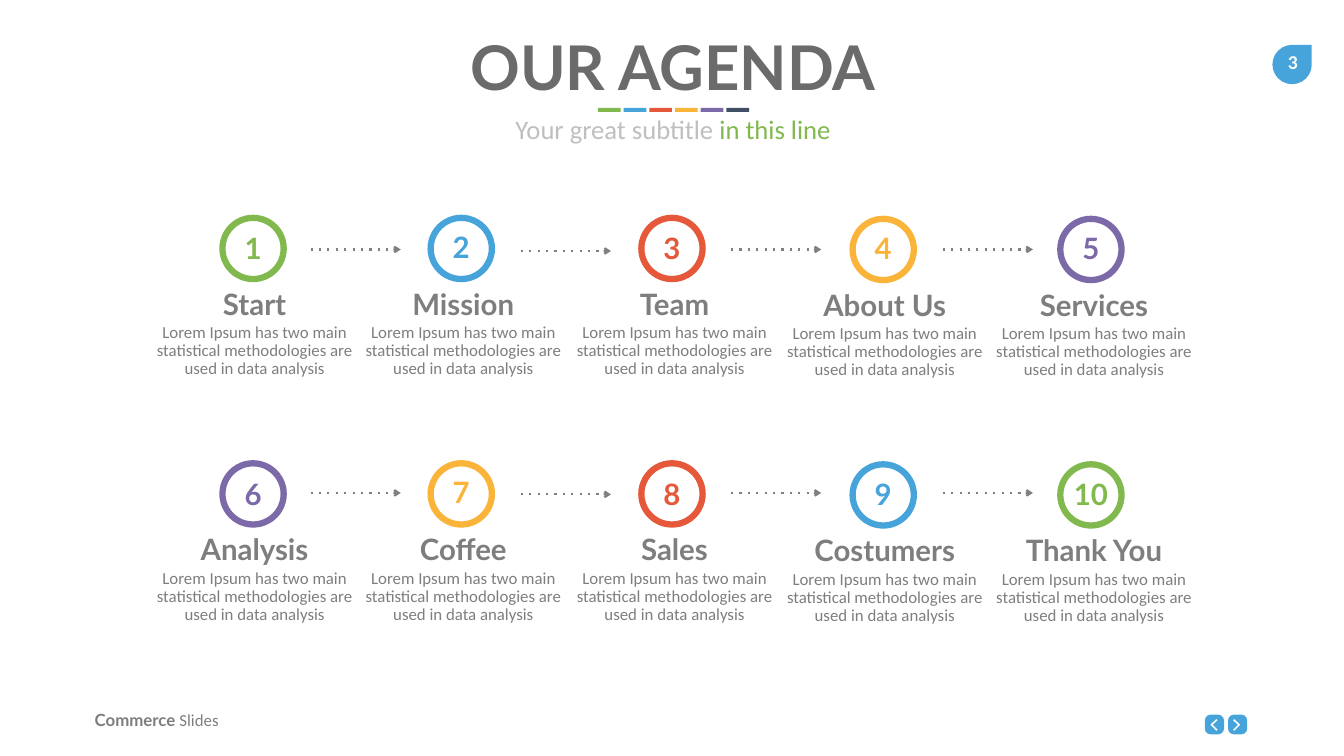
from lxml import etree
from pptx import Presentation
from pptx import util as u
from pptx.dml.color import RGBColor
from pptx.enum import shapes, text
from pptx.oxml.ns import qn

HUES = {
    "green": "81B94F", "blue": "46A4DB", "red": "E5583A",
    "gold": "F9B439", "violet": "7C69A8", "navy": "404F64",
    "title": "6B6B6B", "grey": "7E7E7E", "pale": "BFBFBF",
    "line": "808080", "white": "FFFFFF",
}
BODY = "Lorem Ipsum has two main statistical methodologies are used in data analysis"
LEFT, MID = text.PP_ALIGN.LEFT, text.PP_ALIGN.CENTER
ROOMY, TIGHT = (0.2, 0.1), (0.1, 0.05)

# Column: text centre, ring centre, drop of the column, shift of the number
COLS = [
    (5.05, 5.02, 0, 0), (9.19, 9.15, 0, -0.03), (13.38, 13.33, 0, 0),
    (17.55, 17.52, 0.02, 0), (21.7, 21.64, 0.02, 0),
]
# Row: label, width of its box, hue
ROWS = [
    [("Start", 2.9, "green"), ("Mission", 3.76, "blue"), ("Team", 2.9, "red"),
     ("About Us", 3.54, "gold"), ("Services", 4.58, "violet")],
    [("Analysis", 2.9, "violet"), ("Coffee", 2.9, "gold"), ("Sales", 2.9, "red"),
     ("Costumers", 3.23, "blue"), ("Thank You", 3.9, "green")],
]
TOP, STEP = 4.26, 4.87
RING, BAND = 1.34, 0.125
# Arrow: left end, height above the slide's first row line
ARROWS = [(6.16, 4.95), (10.33, 4.98), (14.5, 4.95), (18.7, 4.95)]
REACH, FALL = 1.79, 4.83


def rgb(hue):
    return RGBColor.from_string(HUES[hue])


def add_text(slide, box, runs, size, align=MID, pad=ROOMY, wrap=True,
             grow=True, space=None):
    """Runs are (words, font, hue, bold)."""
    frame = slide.shapes.add_textbox(*map(u.Inches, box)).text_frame
    frame.word_wrap = wrap
    frame.auto_size = (text.MSO_AUTO_SIZE.SHAPE_TO_FIT_TEXT if grow
                       else text.MSO_AUTO_SIZE.NONE)
    frame.margin_left = frame.margin_right = u.Inches(pad[0])
    frame.margin_top = frame.margin_bottom = u.Inches(pad[1])
    para = frame.paragraphs[0]
    para.alignment = align
    if space:
        para.line_spacing = space
    for words, font, hue, bold in runs:
        run = para.add_run()
        run.text = words
        run.font.name = font
        run.font.size = u.Pt(size)
        run.font.bold = bold
        run.font.color.rgb = rgb(hue)


def add_solid(slide, kind, box, hue, adjust=None):
    shape = slide.shapes.add_shape(kind, *map(u.Inches, box))
    shape.shadow.inherit = False
    shape.fill.solid()
    shape.fill.fore_color.rgb = rgb(hue)
    shape.line.fill.background()
    if adjust is not None:
        shape.adjustments[0] = adjust


def add_arrow(slide, left, y):
    line = slide.shapes.add_connector(
        shapes.MSO_CONNECTOR.STRAIGHT, u.Inches(left), u.Inches(y),
        u.Inches(left + REACH), u.Inches(y))
    line.line.width = u.Pt(3)
    line.line.color.rgb = rgb("line")
    edge = line.line._get_or_add_ln()
    etree.SubElement(edge, qn("a:prstDash"), val="dot")
    etree.SubElement(edge, qn("a:tailEnd"), type="arrow")
    etree.SubElement(line._element.spPr, qn("a:effectLst"))


def add_button(slide, left, back, tip):
    """Rounded button with a chevron that runs from back to tip."""
    add_solid(slide, shapes.MSO_SHAPE.ROUNDED_RECTANGLE,
              (left, 14.18, 0.38, 0.39), "blue", 0.3)
    pen = slide.shapes.build_freeform(u.Inches(back), u.Inches(14.28))
    pen.add_line_segments([(u.Inches(tip), u.Inches(14.38)),
                           (u.Inches(back), u.Inches(14.49))], close=False)
    mark = pen.convert_to_shape()
    mark.shadow.inherit = False
    mark.fill.background()
    mark.line.color.rgb = rgb("white")
    mark.line.width = u.Pt(2.25)


def add_step(slide, number, row, col, item):
    label, wide, hue = item
    mid, hub, drop, shift = COLS[col]
    top = TOP + row * STEP
    add_solid(slide, shapes.MSO_SHAPE.DONUT,
              (hub - RING / 2, top + drop, RING, RING), hue, BAND / RING)
    add_text(slide, (mid - 2.29, top + 2.07 + drop, 4.58, 1.36),
             [(BODY, "Calibri", "grey", False)], 24, grow=False, space=0.9)
    add_text(slide, (mid - wide / 2, top + 1.31 + drop, wide, 0.91),
             [(label, "Lato", "grey", True)], 42)
    add_text(slide, (hub - 0.57, top + 0.21 + shift, 1.14, 0.91),
             [(str(number), "Lato", hue, True)], 42)


def add_head(slide):
    add_text(slide, (1.9, 0.53, 22.9, 1.58),
             [("OUR AGENDA", "Lato", "title", True)], 88, pad=TIGHT)
    for i, hue in enumerate(["green", "blue", "red", "gold", "violet", "navy"]):
        add_solid(slide, shapes.MSO_SHAPE.RECTANGLE,
                  (11.86 + i * 0.51, 2.14, 0.45, 0.08), hue)
    add_text(slide, (1.9, 2.2, 22.9, 0.74),
             [("Your great subtitle ", "Calibri", "pale", False),
              ("in this line", "Calibri", "green", False)], 38, pad=TIGHT)


def add_frame(slide):
    # Page buttons
    add_button(slide, 23.9, 24.14, 24.03)
    add_button(slide, 24.36, 24.47, 24.58)
    # Page number
    add_solid(slide, shapes.MSO_SHAPE.TEAR, (25.24, 0.89, 0.78, 0.78), "blue")
    add_text(slide, (25.21, 0.9, 0.87, 0.67),
             [("3", "Calibri", "white", True)], 28, wrap=False)
    # Footer
    add_text(slide, (1.78, 14.04, 4, 0.5),
             [("Commerce ", "Lato", "grey", True),
              ("Slides", "Calibri", "grey", False)], 24, LEFT, TIGHT)


def main():
    deck = Presentation()
    deck.slide_width, deck.slide_height = u.Inches(26.66), u.Inches(15)
    slide = deck.slides.add_slide(deck.slide_layouts[6])
    add_frame(slide)
    # Ten steps in two rows, with arrows between neighbours
    for row, items in enumerate(ROWS):
        for col, item in enumerate(items):
            add_step(slide, row * len(COLS) + col + 1, row, col, item)
        for left, y in ARROWS:
            add_arrow(slide, left, y + row * FALL)
    add_head(slide)
    deck.save("out.pptx")


if __name__ == "__main__":
    main()
